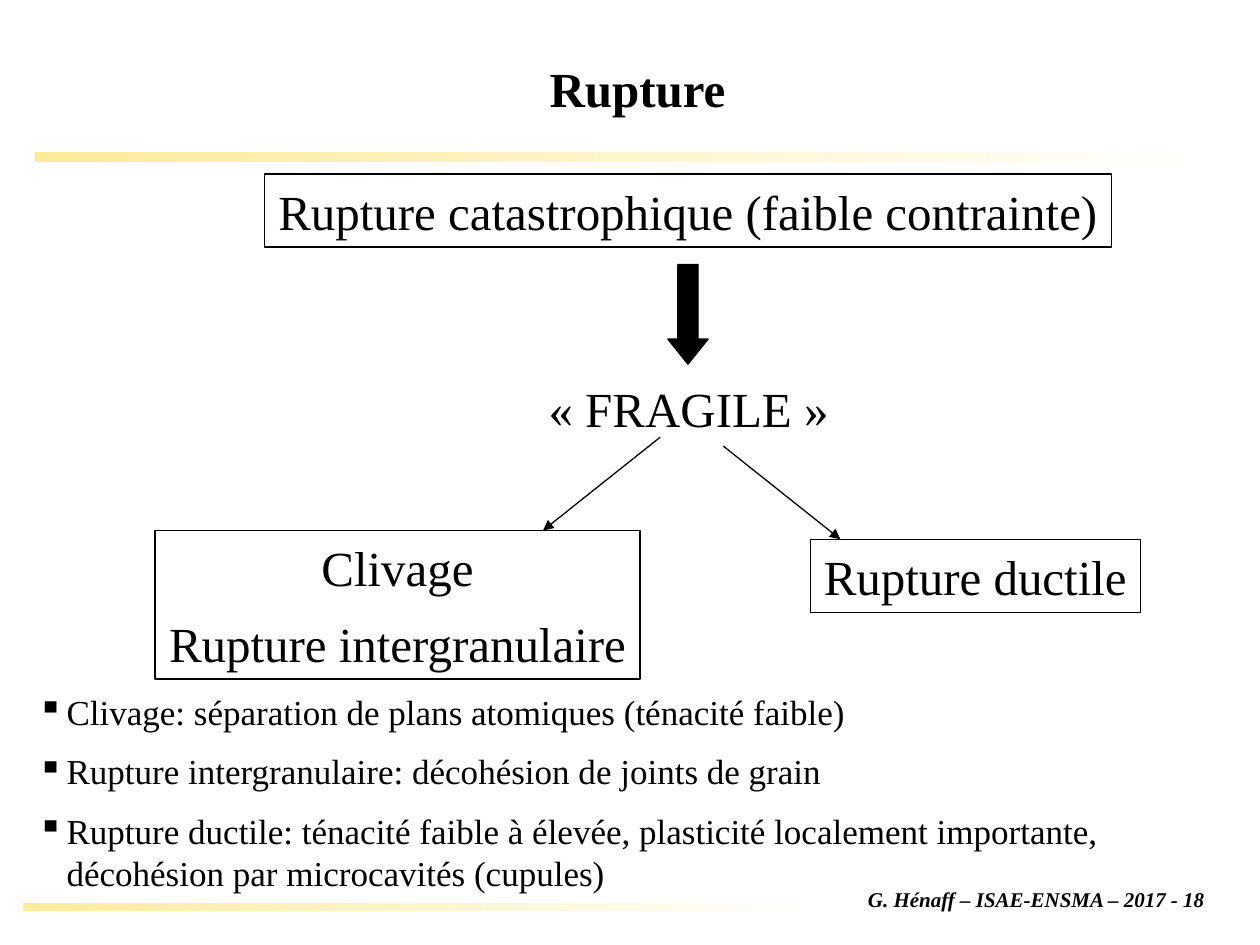
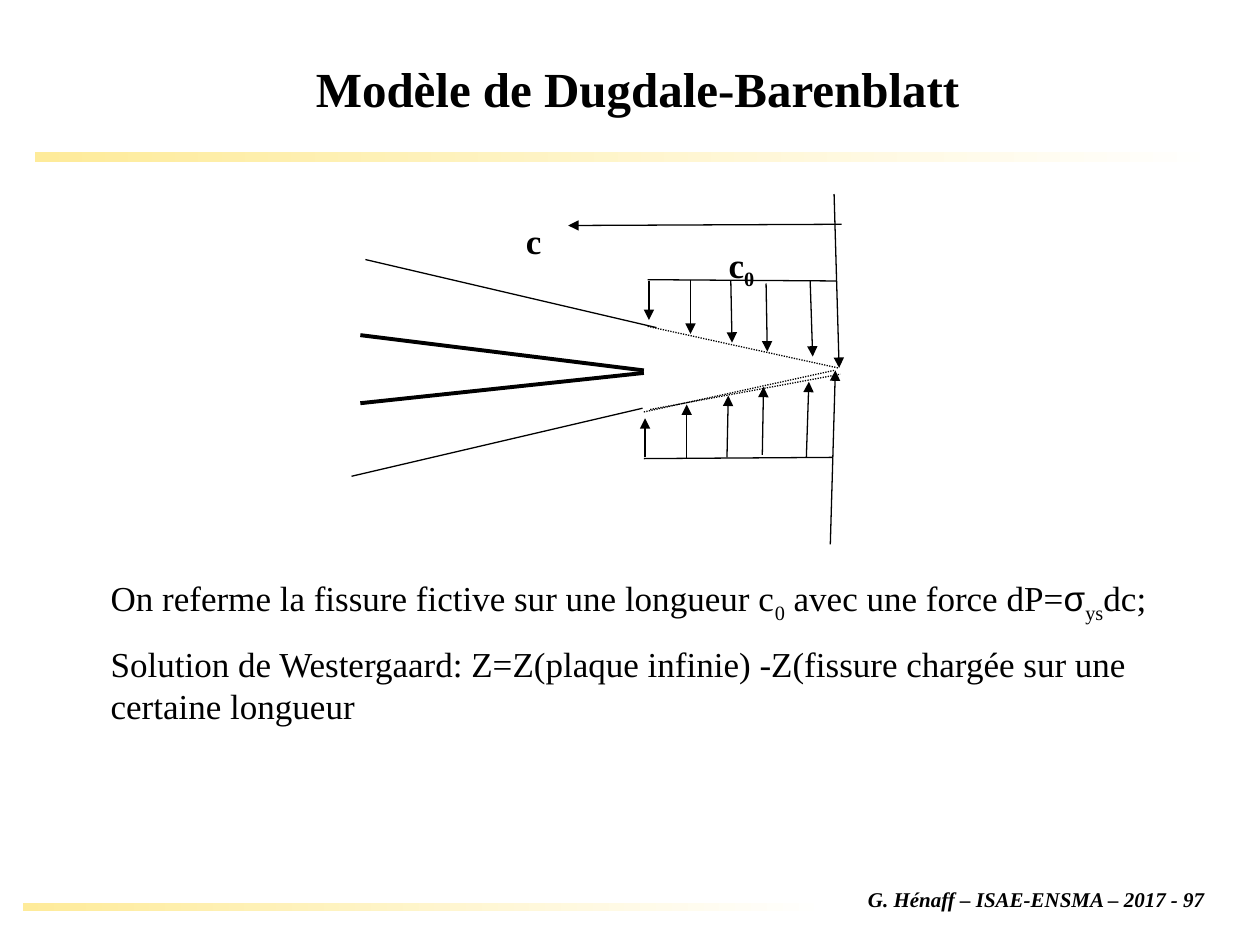
import pptx
import pptx.util
import pptx.dml.color
import pptx.enum.dml
import pptx.enum.shapes
import pptx.enum.text
import pptx.oxml
import pptx.oxml.ns

Inches = pptx.util.Inches
Pt = pptx.util.Pt
RGBColor = pptx.dml.color.RGBColor
SHAPE = pptx.enum.shapes.MSO_SHAPE
ALIGN = pptx.enum.text.PP_ALIGN
ANCHOR = pptx.enum.text.MSO_ANCHOR

BLACK = RGBColor(0x00, 0x00, 0x00)
WHITE = RGBColor(0xFF, 0xFF, 0xFF)
YELLOW = RGBColor(0xFE, 0xEB, 0x9A)
SERIF = "Times New Roman"
FOOTER = "G. Hénaff – ISAE-ENSMA – 2017 - {}"
BANDS = [(0.28, 1.21, 9.43, 0.08), (0.18, 7.17, 6.41, 0.06)]

FRACTURE_BOXES = [
    ((2.1, 1.38, 6.72, 0.58), ["Rupture catastrophique (faible contrainte)"], True),
    ((4.25, 2.95, 2.43, 0.57), ["« FRAGILE »"], False),
    ((1.23, 4.21, 3.85, 1.18), ["Clivage", "Rupture intergranulaire"], True),
    ((6.43, 4.28, 2.62, 0.58), ["Rupture ductile"], True),
]
FRACTURE_ARROWS = [(5.24, 3.47, 4.31, 4.21), (5.74, 3.54, 6.67, 4.28)]
DEFINITIONS = [
    "Clivage: séparation de plans atomiques (ténacité faible)",
    "Rupture intergranulaire: décohésion de joints de grain",
    "Rupture ductile: ténacité faible à élevée, plasticité localement importante, "
    "décohésion par microcavités (cupules)",
]

CRACK = [(2.86, 2.66, 5.11, 2.94), (2.86, 3.2, 5.11, 2.96)]
FICTIVE_CRACK = [(2.9, 2.06, 5.21, 2.6), (2.79, 3.78, 5.1, 3.24)]
LENGTH_ARROW = (6.68, 1.78, 4.51, 1.79)
EXTRA_DOTTED = (5.16, 3.25, 6.67, 2.97)
UPPER_DOTTED = (6.65, 2.92, 5.14, 2.59)
UPPER_BASE = (5.14, 2.22, 6.64, 2.23)
UPPER_FORCES = [
    (6.62, 1.54, 6.66, 2.92),
    (6.43, 2.23, 6.45, 2.83),
    (6.08, 2.25, 6.09, 2.79),
    (5.8, 2.23, 5.81, 2.72),
    (5.48, 2.22, 5.48, 2.65),
    (5.15, 2.23, 5.15, 2.54),
]
CRACK_AXIS = 2.93
LOWER_SHIFT = -0.03
LENGTH_LABELS = [
    ((4.07, 1.69, 0.33, 0.43), [["c"]]),
    ((5.68, 1.88, 0.41, 0.43), [["c", ("0", "sub")]]),
]
EXPLANATION = [
    ["On referme la fissure fictive sur une longueur c", ("0", "sub"),
     " avec une force dP=", ("σ", "greek"), ("ys", "sub"), "dc;"],
    "Solution de Westergaard: Z=Z(plaque infinie) -Z(fissure chargée sur une "
    "certaine longueur",
]


def add_bullet(p):
    pPr = p._p.get_or_add_pPr()
    pPr.set("marL", str(Inches(0.23)))
    pPr.set("indent", str(-Inches(0.23)))
    bullet = pptx.oxml.ns.qn("a:buChar")
    pPr.append(pPr.makeelement(bullet, {"char": "▪"}))


def add_text(s, at, paragraphs, size=20, bold=False, italic=False, align=ALIGN.CENTER,
             anchor=ANCHOR.TOP, wrap=False, border=False, bullets=False):
    sp = s.shapes.add_textbox(*map(Inches, at))
    if border:
        sp.line.color.rgb = BLACK
        sp.line.width = Pt(0.75)
    tf = sp.text_frame
    tf.word_wrap = wrap
    tf.vertical_anchor = anchor
    for i, runs in enumerate(paragraphs):
        p = tf.add_paragraph() if i else tf.paragraphs[0]
        p.alignment = align
        if i:
            p.space_before = Pt(10)
        if bullets:
            add_bullet(p)
        for run in [runs] if isinstance(runs, str) else runs:
            text, kind = (run, "") if isinstance(run, str) else run
            r = p.add_run()
            r.text = text
            r.font.name = "Arial" if kind == "greek" else SERIF
            r.font.size = Pt(size)
            r.font.bold = bold
            r.font.italic = italic
            r.font.color.rgb = BLACK
            if kind == "sub":
                r._r.get_or_add_rPr().set("baseline", "-25000")


def add_line(s, ends, width=0.75, arrow=False, dotted=False):
    line = s.shapes.add_connector(pptx.enum.shapes.MSO_CONNECTOR.STRAIGHT, *map(Inches, ends))
    line.line.color.rgb = BLACK
    line.line.width = Pt(width)
    if dotted:
        line.line.dash_style = pptx.enum.dml.MSO_LINE.ROUND_DOT
    qn = pptx.oxml.ns.qn
    spPr = line._element.spPr
    if arrow:
        ln = line.line._get_or_add_ln()
        ln.append(ln.makeelement(qn("a:tailEnd"), {"type": "triangle"}))
    spPr.append(spPr.makeelement(qn("a:effectLst"), {}))


def add_slide(prs, title, number):
    s = prs.slides.add_slide(prs.slide_layouts[6])
    for at in BANDS:
        band = s.shapes.add_shape(SHAPE.RECTANGLE, *map(Inches, at))
        band.shadow.inherit = False
        band.line.fill.background()
        band.fill.gradient()
        band.fill.gradient_angle = 0
        for stop, color, position in zip(band.fill.gradient_stops, (YELLOW, WHITE), (0, 1)):
            stop.color.rgb = color
            stop.position = position
    add_text(s, (6.72, 6.99, 3.01, 0.3), [FOOTER.format(number)], size=12, bold=True,
             italic=True, anchor=ANCHOR.MIDDLE)
    add_text(s, (0.81, 0.21, 8.5, 0.98), [title], size=28, bold=True,
             anchor=ANCHOR.MIDDLE, wrap=True)
    return s


def build_fracture(prs):
    s = add_slide(prs, "Rupture", 18)
    for at, paragraphs, border in FRACTURE_BOXES:
        add_text(s, at, paragraphs, size=28, border=border, anchor=ANCHOR.MIDDLE)
    arrow = s.shapes.add_shape(SHAPE.DOWN_ARROW, *map(Inches, (5.3, 2.1, 0.32, 0.79)))
    arrow.shadow.inherit = False
    arrow.adjustments[0] = 0.5
    arrow.adjustments[1] = 0.62
    arrow.fill.solid()
    arrow.fill.fore_color.rgb = BLACK
    arrow.line.color.rgb = BLACK
    arrow.line.width = Pt(0.75)
    for ends in FRACTURE_ARROWS:
        add_line(s, ends, arrow=True)
    add_text(s, (0.2, 5.43, 9.8, 1.71), DEFINITIONS, align=ALIGN.LEFT, wrap=True, bullets=True)


def mirror(ends):
    x1, y1, x2, y2 = ends
    return (x1 + LOWER_SHIFT, 2 * CRACK_AXIS - y1, x2 + LOWER_SHIFT, 2 * CRACK_AXIS - y2)


def build_dugdale(prs):
    s = add_slide(prs, "Modèle de Dugdale-Barenblatt", 97)
    for ends in CRACK:
        add_line(s, ends, width=2.25)
    for ends in FICTIVE_CRACK:
        add_line(s, ends)
    add_line(s, EXTRA_DOTTED, dotted=True)
    add_line(s, LENGTH_ARROW, arrow=True)
    for side in (tuple, mirror):
        add_line(s, side(UPPER_DOTTED), dotted=True)
        for ends in UPPER_FORCES:
            add_line(s, side(ends), arrow=True)
        add_line(s, side(UPPER_BASE))
    for at, label in LENGTH_LABELS:
        add_text(s, at, label, bold=True)
    add_text(s, (0.78, 4.53, 8.7, 1.24), EXPLANATION, align=ALIGN.LEFT, wrap=True)


def main():
    prs = pptx.Presentation()
    prs.slide_width = Inches(10)
    prs.slide_height = Inches(7.5)
    build_fracture(prs)
    build_dugdale(prs)
    prs.save("out.pptx")


if __name__ == "__main__":
    main()
